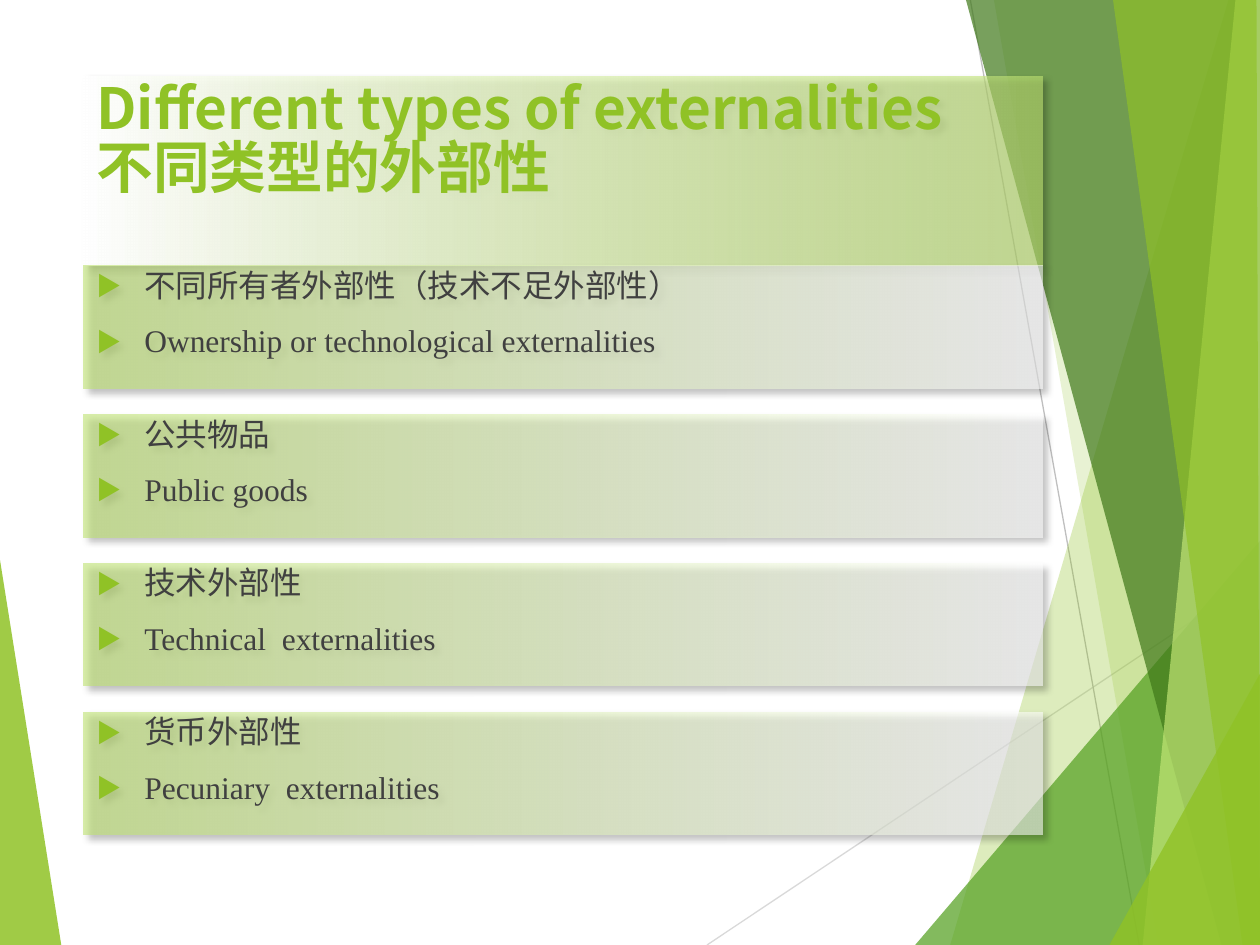
from dataclasses import dataclass

from lxml import etree
from pptx import Presentation
from pptx.dml.color import RGBColor
from pptx.enum.shapes import MSO_CONNECTOR, MSO_SHAPE
from pptx.enum.text import MSO_ANCHOR, PP_ALIGN
from pptx.oxml.ns import qn
from pptx.util import Pt

RECT = MSO_SHAPE.RECTANGLE
LINE = MSO_CONNECTOR.STRAIGHT
TOP = MSO_ANCHOR.TOP
LEFT = PP_ALIGN.LEFT


@dataclass(frozen=True)
class Theme:
    lime: str = "90C226"
    pale: str = "C0E474"
    leaf: str = "54A021"
    dark: str = "3F7819"
    white: str = "FFFFFF"
    ink: str = "404040"
    black: str = "000000"
    light: str = "D9D9D9"
    gray: str = "BFBFBF"
    sans: str = "Noto Sans CJK SC"
    serif: str = "Times New Roman"
    head: float = 32.4
    body: float = 18


T = Theme()
WIDE, HIGH = 720, 540
PANEL_X, PANEL_W = 48, 548
ROW_Y, ROW_H, ROW_STEP = 152, 70, 85

SHARDS = [
    (T.pale and T.lime, 30, [(702, 0), (543, 540), (720, 540), (720, 0)]),
    (T.lime, 20, [(567.5, 0), (662, 540), (720, 540), (720, 0)]),
    (T.leaf, 72, [(523, 540), (720, 309), (720, 540)]),
    (T.dark, 70, [(552, 0), (698, 540), (720, 540), (720, 0)]),
    (T.pale, 70, [(706, 0), (653, 540), (720, 540), (720, 0)]),
    (T.lime, 65, [(636, 0), (710, 540), (720, 540), (718.5, 0)]),
    (T.lime, 80, [(634.5, 540), (720, 385), (720, 540)]),
]
ROWS = [
    ("不同所有者外部性（技术不足外部性）", "Ownership or technological externalities"),
    ("公共物品", "Public goods"),
    ("技术外部性", "Technical  externalities"),
    ("货币外部性", "Pecuniary  externalities"),
]


def add(node, tag, **attrs):
    return etree.SubElement(node, qn(tag), attrs)


def fade(node, alpha):
    for clr in node.iter(qn("a:srgbClr")):
        add(clr, "a:alpha", val=str(alpha * 1000))


def shard(slide, color, alpha, points):
    pen = slide.shapes.build_freeform(*points[0], scale=Pt(1))
    pen.add_line_segments(points[1:], close=True)
    shape = pen.convert_to_shape()
    shape.shadow.inherit = False
    shape.fill.solid()
    shape.fill.fore_color.rgb = RGBColor.from_string(color)
    shape.line.fill.background()
    fade(shape.element.spPr, alpha)


def line(slide, start, end, color):
    link = slide.shapes.add_connector(LINE, *map(Pt, start + end))
    link.line.color.rgb = RGBColor.from_string(color)
    link.line.width = Pt(0.75)
    add(link.element.spPr, "a:effectLst")


def panel(slide, top, height, stops, inset):
    shape = slide.shapes.add_shape(RECT, Pt(PANEL_X), Pt(top), Pt(PANEL_W), Pt(height))
    shape.line.fill.background()
    shape.fill.gradient()
    shape.fill.gradient_angle = 180
    for stop, (color, alpha) in zip(shape.fill.gradient_stops, stops):
        stop.color.rgb = RGBColor.from_string(color)
    for node, (color, alpha) in zip(shape.element.spPr.iter(qn("a:gs")), stops):
        fade(node, alpha)
    shape.shadow.inherit = False
    glow = add(shape.element.spPr.find(qn("a:effectLst")), "a:outerShdw",
               blurRad=str(Pt(4)), dist=str(Pt(3)), dir="2700000", rotWithShape="0")
    add(glow, "a:srgbClr", val=T.black)
    fade(glow, 40)
    frame = shape.text_frame
    frame.word_wrap = True
    frame.vertical_anchor = TOP
    frame.margin_top = Pt(inset)
    return frame


def write(para, text, font=T.sans, size=T.body, color=T.ink, bold=False,
          bullet=False, before=0, pitch=None):
    para.text = text
    para.alignment = LEFT
    para.space_before = Pt(before)
    if pitch:
        para.line_spacing = pitch
    if bullet:
        props = para._p.get_or_add_pPr()
        props.set("marL", str(Pt(27.4)))
        props.set("indent", str(Pt(-27.4)))
        add(add(props, "a:buClr"), "a:srgbClr", val=T.lime)
        add(props, "a:buSzPct", val="80000")
        add(props, "a:buFont", typeface=T.sans)
        add(props, "a:buChar", char="▶")
    for run in para.runs:
        run.font.name = font
        run.font.size = Pt(size)
        run.font.bold = bold
        run.font.color.rgb = RGBColor.from_string(color)
        add(run.font._element, "a:ea", typeface=font)


def row(slide, top, pair):
    frame = panel(slide, top, ROW_H, [(T.white, 58), (T.pale, 61)], 0)
    write(frame.paragraphs[0], pair[0], bullet=True)
    write(frame.add_paragraph(), pair[1], font=T.serif, bullet=True, before=10)


def main():
    deck = Presentation()
    deck.slide_width, deck.slide_height = Pt(WIDE), Pt(HIGH)
    slide = deck.slides.add_slide(deck.slide_layouts[6])
    shard(slide, T.lime, 85, [(0, 320), (35, 540), (0, 540)])
    line(slide, (404, 540), (720, 329), T.light)
    line(slide, (554.5, 0), (651, 540), T.gray)
    for color, alpha, points in SHARDS:
        shard(slide, color, alpha, points)
    frame = panel(slide, 44, 108, [(T.pale, 61), (T.white, 100)], 3.6)
    write(frame.paragraphs[0], "Different types of externalities\v不同类型的外部性",
          size=T.head, color=T.lime, bold=True, pitch=0.86)
    for i, pair in enumerate(ROWS):
        row(slide, ROW_Y + i * ROW_STEP, pair)
    deck.save("out.pptx")


if __name__ == "__main__":
    main()
